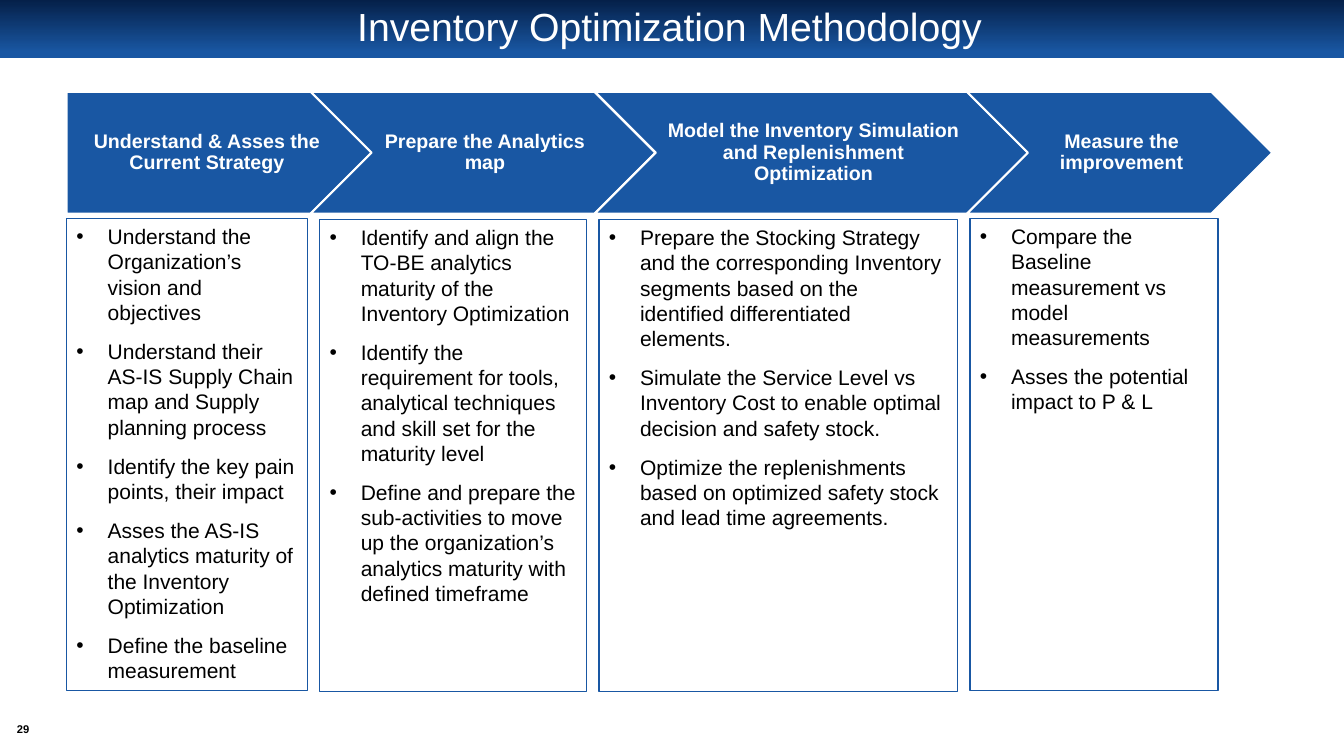
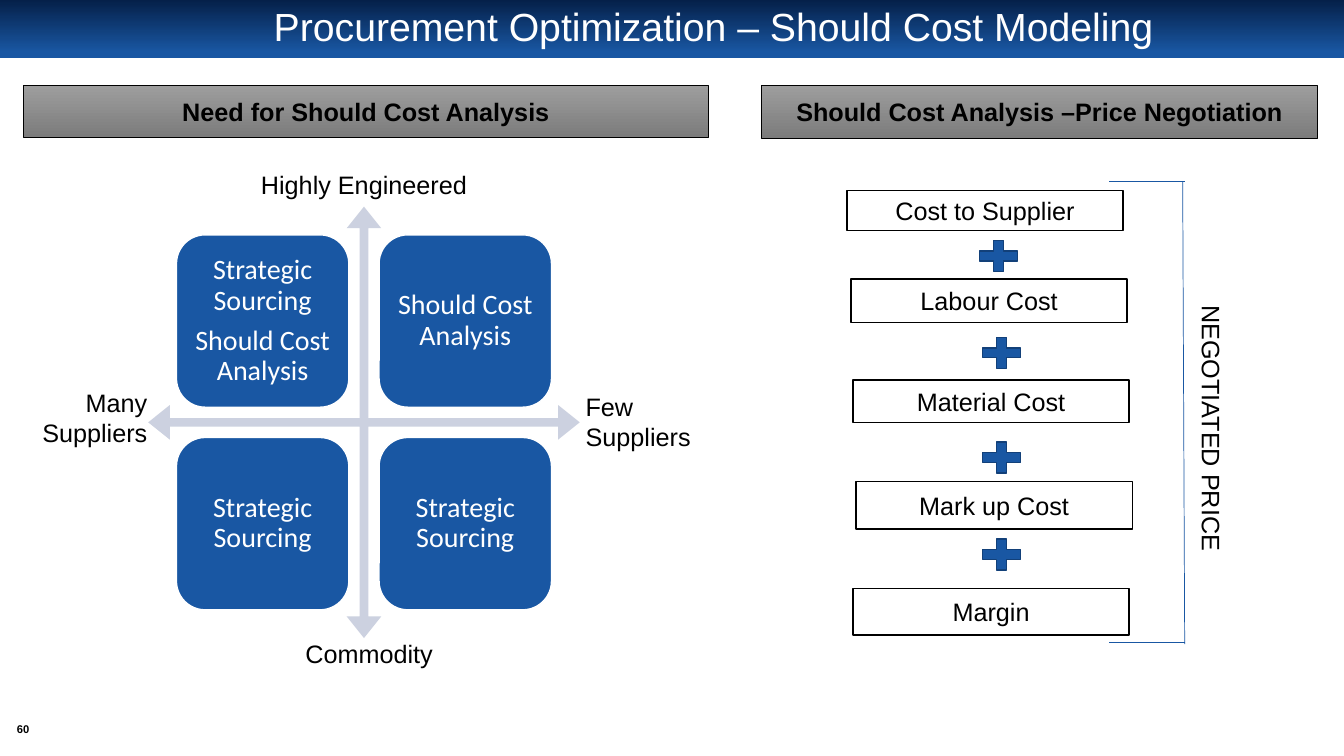
from lxml.etree import SubElement
from pptx import Presentation
from pptx.dml.color import RGBColor
from pptx.enum.shapes import MSO_CONNECTOR, MSO_SHAPE
from pptx.enum.text import MSO_ANCHOR, PP_ALIGN
from pptx.oxml.ns import qn
from pptx.util import Pt

PX = 9144
NAVY = RGBColor(0x05, 0x20, 0x49)
BLUE = RGBColor(0x19, 0x57, 0xA3)
DARK_BLUE = RGBColor(0x12, 0x40, 0x79)
PALE_BLUE = RGBColor(0xCC, 0xD1, 0xE0)
LIGHT_GREY = RGBColor(0x9D, 0x9D, 0x9D)
MID_GREY = RGBColor(0x7C, 0x7C, 0x7C)
BLACK = RGBColor(0, 0, 0)
WHITE = RGBColor(0xFF, 0xFF, 0xFF)
BAND = (NAVY, BLUE, 0.9)
HEADING = (LIGHT_GREY, MID_GREY, 1)


def add_box(slide, kind, box, fill=None, line=None, line_width=1.0):
    left, top, width, height = [value * PX for value in box]
    if kind is None:
        return slide.shapes.add_textbox(left, top, width, height)
    shape = slide.shapes.add_shape(kind, left, top, width, height)
    shape.shadow.inherit = False
    if isinstance(fill, RGBColor):
        shape.fill.solid()
        shape.fill.fore_color.rgb = fill
    else:
        start, end, end_position = fill
        shape.fill.gradient()
        shape.fill.gradient_angle = 270
        first, last = shape.fill.gradient_stops
        first.color.rgb, first.position = start, 0
        last.color.rgb, last.position = end, end_position
    if line is None:
        shape.line.fill.background()
    else:
        shape.line.color.rgb = line
        shape.line.width = Pt(line_width)
    return shape


def write(shape, texts, size=18, color=BLACK, bold=False, font="Arial",
          align=PP_ALIGN.CENTER, anchor=MSO_ANCHOR.MIDDLE, spacing=None,
          space_after=0, margins=(10, 5, 10, 5), bullet=False):
    frame = shape.text_frame
    frame.word_wrap = True
    frame.vertical_anchor = anchor
    (frame.margin_left, frame.margin_top,
     frame.margin_right, frame.margin_bottom) = [value * PX for value in margins]
    for index, text in enumerate(texts):
        paragraph = frame.add_paragraph() if index else frame.paragraphs[0]
        paragraph.alignment = align
        paragraph.space_after = Pt(space_after)
        if spacing:
            paragraph.line_spacing = spacing
        if bullet:
            properties = paragraph._p.get_or_add_pPr()
            properties.set("marL", str(31 * PX))
            properties.set("indent", str(-31 * PX))
            SubElement(properties, qn("a:buFont")).set("typeface", "Arial")
            SubElement(properties, qn("a:buChar")).set("char", "•")
        run = paragraph.add_run()
        run.text = text
        run.font.name = font
        run.font.size = Pt(size)
        run.font.bold = bold
        run.font.color.rgb = color


presentation = Presentation()
presentation.slide_width = 1333 * PX
presentation.slide_height = 750 * PX

pages = [
    ("Inventory Optimization Methodology", (66, 6, 1196, 45), "29"),
    ("Procurement Optimization – Should Cost Modeling", (188, 9, 1039, 39), "60"),
]
for title, title_box, number in pages:
    slide = presentation.slides.add_slide(presentation.slide_layouts[6])
    add_box(slide, MSO_SHAPE.RECTANGLE, (0, 0, 1333, 58), BAND)
    write(add_box(slide, None, title_box), [title], 28, WHITE, spacing=0.9)
    write(add_box(slide, None, (8, 714, 30, 19)), [number], 8, bold=True,
          margins=(0, 0, 0, 0))
methodology, procurement = presentation.slides

steps = [
    ("Understand & Asses the Current Strategy", MSO_SHAPE.PENTAGON, 66, 303, 8,
     (66, 217, 239, 468), [
         "Understand the Organization’s vision and objectives",
         "Understand their AS-IS Supply Chain map and Supply planning process",
         "Identify the key pain points, their impact",
         "Asses the AS-IS analytics maturity of the Inventory Optimization",
         "Define the baseline measurement"]),
    ("Prepare the Analytics map", MSO_SHAPE.CHEVRON, 308, 342, 6,
     (317, 218, 265, 468), [
         "Identify and align the TO-BE analytics maturity of the Inventory Optimization",
         "Identify the requirement for tools, analytical techniques and skill set "
         "for the maturity level",
         "Define and prepare the sub-activities to move up the organization’s "
         "analytics maturity with defined timeframe"]),
    ("Model the Inventory Simulation and Replenishment Optimization",
     MSO_SHAPE.CHEVRON, 590, 430, 6,
     (594, 218, 356, 468), [
         "Prepare the Stocking Strategy and the corresponding Inventory segments "
         "based on the identified differentiated elements.",
         "Simulate the Service Level vs Inventory Cost to enable optimal decision "
         "and safety stock.",
         "Optimize the replenishments based on optimized safety stock and lead "
         "time agreements."]),
    ("Measure the improvement", MSO_SHAPE.CHEVRON, 959, 303, 6,
     (962, 217, 246, 468), [
         "Compare the Baseline measurement vs model measurements",
         "Asses the potential impact to P & L"]),
]
for name, kind, left, width, margin_left, detail_box, details in steps:
    arrow = add_box(methodology, kind, (left, 91, width, 121), BLUE, WHITE, 1.5)
    write(arrow, [name], 14, WHITE, bold=True, spacing=0.9,
          margins=(margin_left, 4, 2, 4))
    panel = add_box(methodology, MSO_SHAPE.RECTANGLE, detail_box, WHITE, BLUE)
    write(panel, details, 15, align=PP_ALIGN.LEFT, anchor=MSO_ANCHOR.TOP,
          space_after=10, bullet=True)

for heading, box in [
    ("Need for Should Cost Analysis", (23, 85, 680, 51)),
    ("Should Cost Analysis –Price Negotiation", (755, 85, 552, 52)),
]:
    bar = add_box(procurement, MSO_SHAPE.RECTANGLE, box, HEADING, BLACK, 0.5)
    write(bar, [heading], bold=True)

axes = add_box(procurement, MSO_SHAPE.QUAD_ARROW, (147, 205, 428, 428), PALE_BLUE)
for index, adjustment in enumerate((0.02, 0.04, 0.05)):
    axes.adjustments[index] = adjustment

quadrants = [
    ["Strategic Sourcing", "Should Cost Analysis"],
    ["Should Cost Analysis"],
    ["Strategic Sourcing"],
    ["Strategic Sourcing"],
]
for index, texts in enumerate(quadrants):
    row, column = divmod(index, 2)
    quadrant = add_box(procurement, MSO_SHAPE.ROUNDED_RECTANGLE,
                       (175 + 201 * column, 233 + 201 * row, 171, 171), BLUE, WHITE)
    write(quadrant, texts, 20, WHITE, font="Calibri", spacing=0.9, space_after=7,
          margins=(8, 8, 8, 8))

for texts, box, align in [
    (["Many", "Suppliers"], (23, 379, 133, 71), PP_ALIGN.RIGHT),
    (["Few", "Suppliers"], (571, 383, 132, 71), PP_ALIGN.LEFT),
    (["Commodity"], (293, 628, 195, 40), PP_ALIGN.LEFT),
    (["Highly Engineered"], (236, 163, 250, 40), PP_ALIGN.CENTER),
]:
    write(add_box(procurement, None, box), texts, align=align, anchor=MSO_ANCHOR.TOP)

for name, left, top, height in [
    ("Cost to Supplier", 840, 189, 40),
    ("Labour Cost", 844, 277, 43),
    ("Material Cost", 846, 377, 42),
    ("Mark up Cost", 849, 478, 47),
    ("Margin", 846, 584, 46),
]:
    cost = add_box(procurement, MSO_SHAPE.RECTANGLE, (left, top, 274, height),
                   WHITE, BLACK)
    write(cost, [name])

for left, top in [(965, 233), (968, 329), (968, 433), (968, 529)]:
    add_box(procurement, MSO_SHAPE.MATH_PLUS, (left, top, 51, 42), BLUE, DARK_BLUE)

for ends in [(1173, 180, 1175, 639), (1100, 180, 1175, 180), (1100, 637, 1175, 637)]:
    bracket = procurement.shapes.add_connector(
        MSO_CONNECTOR.STRAIGHT, *[value * PX for value in ends])
    bracket.line.color.rgb = BLUE
    bracket.line.width = Pt(0.5)
    SubElement(bracket.element.spPr, qn("a:effectLst"))

price = add_box(procurement, None, (1172, 293, 50, 266))
write(price, ["NEGOTIATED PRICE"], align=PP_ALIGN.LEFT, anchor=MSO_ANCHOR.TOP)
price.element.txBody.bodyPr.set("vert", "vert")

presentation.save("out.pptx")
